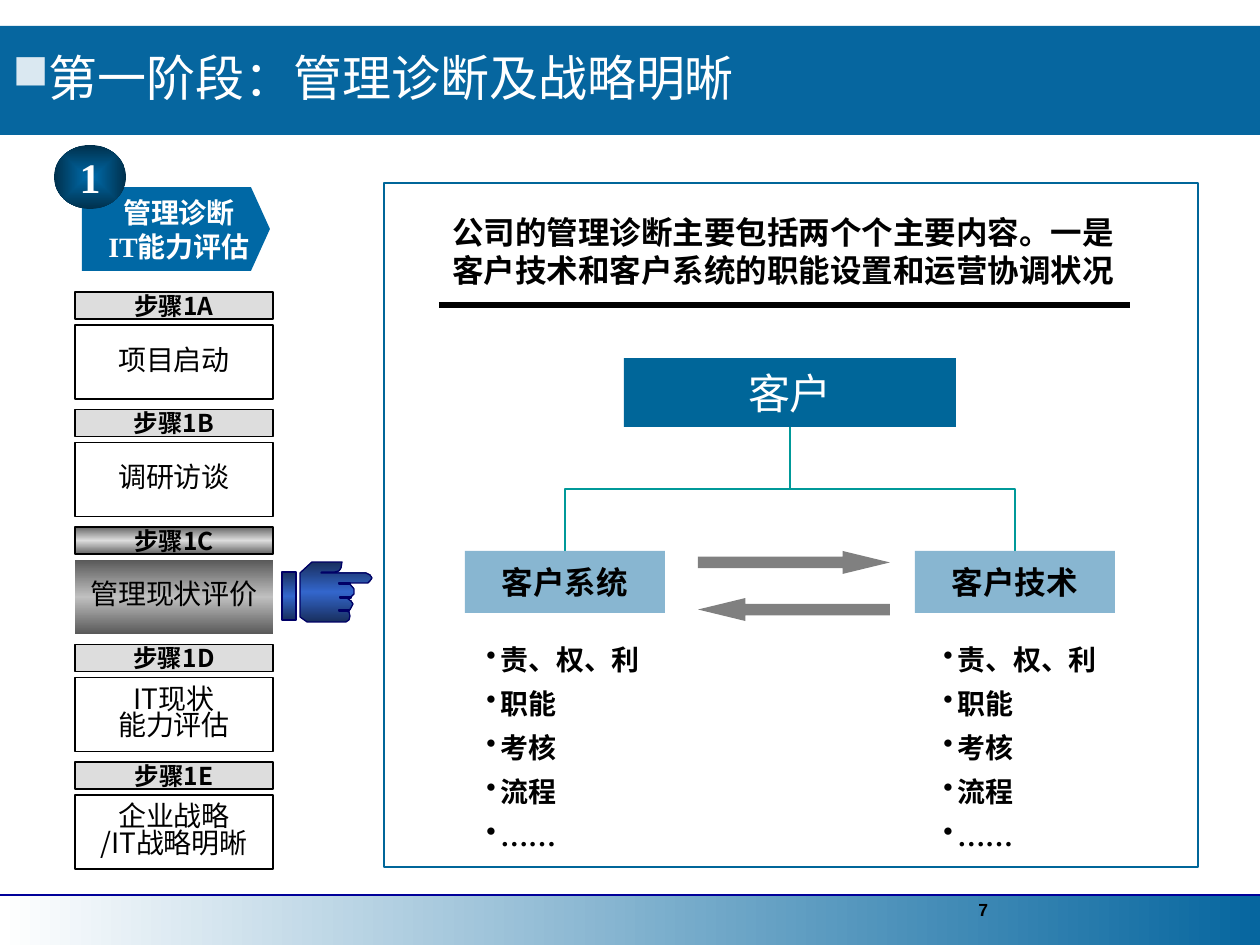
from lxml import etree
from pptx import Presentation
from pptx import oxml, util as u
from pptx.dml.color import RGBColor
from pptx.enum import shapes, text
from pptx.oxml.ns import qn

PX = 914400 / 126
SANS, SERIF, LATIN = "Noto Sans CJK SC", "Times New Roman", "Arial"
COLORS = {
    "white": "FFFFFF", "black": "000000", "banner": "06669F", "marker": "DAE8F1",
    "rule": "000099", "frame": "006699", "branch": "009999", "unit": "88B6D1",
    "arrow": "808080", "stage": "0068A5", "stage_dark": "00304C", "step": "DDDDDD",
    "step_dark": "666666", "active": "C0C0C0", "active_dark": "595959",
    "hand": "3366CC", "hand_dark": "182F5E", "hand_line": "000066",
}
A = "http://schemas.openxmlformats.org/drawingml/2006/main"
LINEAR = '<a:lin ang="{}" scaled="0"/>'
DOWN = LINEAR.format(5400000)
INWARD = '<a:path path="rect"><a:fillToRect l="50000" t="50000" r="50000" b="50000"/></a:path>'
HAND = [(83, 21), (67, 21), (72, 27), (72, 32), (69, 35), (66, 37), (69, 39), (71, 42),
        (69, 46), (67, 49), (64, 49), (67, 50), (68, 54), (67, 58), (64, 60), (25, 60),
        (18, 55), (18, 11), (30, 0), (60, 0), (59, 6), (57, 9), (53, 10), (40, 10),
        (39, 11), (84, 11), (88, 13), (90, 16), (88, 19), (86, 21)]


def px(*lengths):
    return [u.Emu(round(length * PX)) for length in lengths]


def rgb(name):
    return RGBColor.from_string(COLORS[name])


def paint(shape, fill=None, line=None, shade=DOWN):
    shape.shadow.inherit = False
    if fill is None:
        shape.fill.background()
    else:
        shape.fill.solid()
        if isinstance(fill, str):
            shape.fill.fore_color.rgb = rgb(fill)
        else:
            stops = "".join(
                f'<a:gs pos="{100000 * i // (len(fill) - 1)}"><a:srgbClr val="{COLORS[name]}"/></a:gs>'
                for i, name in enumerate(fill))
            gradient = oxml.parse_xml(
                f'<a:gradFill xmlns:a="{A}" rotWithShape="1"><a:gsLst>{stops}</a:gsLst>{shade}</a:gradFill>')
            props = shape._element.spPr
            props.replace(props.find(qn("a:solidFill")), gradient)
    if line is None:
        shape.line.fill.background()
    else:
        shape.line.color.rgb = rgb(line)
        shape.line.width = u.Pt(0.75)
    return shape


def block(slide, box, fill=None, line=None, kind=shapes.MSO_SHAPE.RECTANGLE, shade=DOWN):
    return paint(slide.shapes.add_shape(kind, *px(*box)), fill, line, shade)


def outline(slide, origin, points, fill, line=None):
    builder = slide.shapes.build_freeform(*points[0], scale=PX)
    builder.add_line_segments(points[1:], close=True)
    return paint(builder.convert_to_shape(*px(*origin)), fill, line)


def connect(slide, kind, ends, color, width):
    line = slide.shapes.add_connector(kind, *px(*ends))
    line.line.color.rgb = rgb(color)
    line.line.width = u.Pt(width)
    etree.SubElement(line._element.spPr, qn("a:effectLst"))
    return line


def write(shape, lines, size, color="black", font=SANS, bold=False, center=True,
          middle=True, wrap=False, spacing=None, before=0, bullet=None):
    frame = shape.text_frame
    frame.word_wrap = wrap
    frame.vertical_anchor = text.MSO_ANCHOR.MIDDLE if middle else text.MSO_ANCHOR.TOP
    for i, words in enumerate(lines):
        line = frame.paragraphs[0] if i == 0 else frame.add_paragraph()
        line.alignment = text.PP_ALIGN.CENTER if center else text.PP_ALIGN.LEFT
        if bullet:
            char, tint, indent = bullet
            props = line._p.get_or_add_pPr()
            hang = px(indent)[0]
            props.set("marL", str(hang))
            props.set("indent", str(-hang))
            tone = etree.SubElement(props, qn("a:buClr"))
            etree.SubElement(tone, qn("a:srgbClr")).set("val", COLORS[tint])
            etree.SubElement(props, qn("a:buChar")).set("char", char)
        if spacing:
            line.line_spacing = spacing
        if i and before:
            line.space_before = u.Pt(before)
        run = line.add_run()
        run.text = words
        run.font.size = u.Pt(size)
        run.font.bold = bold
        run.font.color.rgb = rgb(color)
        run.font.name = SERIF if words == "……" else font
        etree.SubElement(run._r.get_or_add_rPr(), qn("a:ea")).set("typeface", SANS)


def label(slide, box, lines, size, **style):
    write(slide.shapes.add_textbox(*px(*box)), lines, size, **style)


def footer(slide, x, y, w, h):
    block(slide, (x, y, w, h), ["white", "banner"], shade=LINEAR.format(0))
    connect(slide, shapes.MSO_CONNECTOR.STRAIGHT, (x, y - 1, x + w, y - 1), "rule", 1)
    label(slide, (x + 966, y - 3, 294, 45), ["7"], 10, font=LATIN, bold=True,
          center=False, middle=False, wrap=True)


def title(slide, x, y, w, h):
    block(slide, (x, y, w, h), "banner")
    label(slide, (x, y, w, h), ["第一阶段：管理诊断及战略明晰"], 28, color="white", font=LATIN,
          center=False, wrap=True, spacing=0.9, bullet=("■", "marker", 36))


def unit(slide, x, y, w, h, name, list_x):
    write(block(slide, (x, y, w, h), "unit"), [name], 18, bold=True)
    label(slide, (list_x, y + 85, 217, 223), ["责、权、利", "职能", "考核", "流程", "……"], 16,
          bold=True, center=False, middle=False, wrap=True, before=6,
          bullet=("•", "black", 14))


def diagnosis(slide, x, y, w, h):
    block(slide, (x, y, w, h), line="frame")
    label(slide, (x + 56, y + 24, 708, 88),
          ["公司的管理诊断主要包括两个个主要内容。一是客户技术和客户系统的职能设置和运营协调状况"],
          18, font=LATIN, bold=True, center=False, middle=False, wrap=True)
    connect(slide, shapes.MSO_CONNECTOR.STRAIGHT, (x + 55, y + 122, x + 746, y + 122), "black", 3)

    root_x, root_bottom, unit_y = x + 406, y + 244, y + 368
    write(block(slide, (root_x - 166, y + 175, 332, 69), "frame"), ["客户"], 24, color="white")
    drop, reach = unit_y - root_bottom, 225
    middle_y = (root_bottom + unit_y) / 2
    for side, angle in ((-1, 90), (1, 270)):
        middle_x = root_x + side * reach / 2
        branch = connect(slide, shapes.MSO_CONNECTOR.ELBOW,
                         (middle_x + side * drop / 2, middle_y - reach / 2,
                          middle_x - side * drop / 2, middle_y + reach / 2), "branch", 0.75)
        branch._element.spPr.find(qn("a:xfrm")).set("rot", str(angle * 60000))
    unit(slide, x + 81, unit_y, 200, 62, "客户系统", x + 90)
    unit(slide, x + 531, unit_y, 200, 62, "客户技术", x + 547)
    for top, angle in ((unit_y, 0), (unit_y + 47, 180)):
        arrow = block(slide, (x + 314, top, 192, 23), "arrow", kind=shapes.MSO_SHAPE.RIGHT_ARROW)
        arrow.adjustments[1] = 2.06
        arrow.rotation = angle


def stage(slide, x, y, w, h):
    outline(slide, (x + 28, y + 42),
            [(0, 0), (w - 47, 0), (w - 28, 42), (w - 47, 84), (0, 84)], "stage")
    number = block(slide, (x, y, 72, 64), ["stage", "stage_dark"],
                   kind=shapes.MSO_SHAPE.OVAL, shade=INWARD)
    write(number, ["1"], 24, color="white", font=SERIF, bold=True)
    label(slide, (x + 15, y + 48, 220, 72), ["管理诊断", "IT能力评估"], 16,
          color="white", font=SERIF, bold=True)


def steps(slide, x, y, w, h):
    tasks = [("A", ["项目启动"]), ("B", ["调研访谈"]), ("C", ["管理现状评价"]),
             ("D", ["IT现状", "能力评估"]), ("E", ["企业战略", "/IT战略明晰"])]
    head_h, body_offset, body_h = 27, 33, 74
    pitch = (h - body_offset - body_h) / (len(tasks) - 1)
    for i, (letter, task) in enumerate(tasks):
        top = y + i * pitch
        active = letter == "C"
        head_fill = ["step_dark", "step", "step_dark"] if active else "step"
        body_fill = ["active_dark", "active", "active_dark"] if active else None
        head = block(slide, (x, top, w, head_h), head_fill, "black")
        write(head, [f"步骤1{letter}"], 14, bold=True)
        body = block(slide, (x, top + body_offset, w, body_h), body_fill,
                     None if active else "black")
        write(body, task, 16, wrap=True, spacing=0.8)


def pointing_hand(slide, x, y):
    fill = ["hand_dark", "hand", "hand_dark"]
    block(slide, (x, y + 10, 14, 48), fill, "hand_line")
    outline(slide, (x, y), HAND, fill, "hand_line")
    for left, top, length in ((58, 35, 11), (57, 48, 10), (57, 21, 11)):
        crease = [(left, top), (left + length, top), (left + length, top + 1), (left, top + 1)]
        outline(slide, (x, y), crease, fill, "hand_line")


def main():
    deck = Presentation()
    deck.slide_width, deck.slide_height = px(1260, 945)
    slide = deck.slides.add_slide(deck.slide_layouts[6])
    footer(slide, 0, 896, 1260, 49)
    title(slide, 0, 26, 1260, 109)
    diagnosis(slide, 384, 183, 814, 684)
    stage(slide, 54, 145, 216, 126)
    steps(slide, 75, 292, 198, 577)
    pointing_hand(slide, 282, 562)
    deck.save("out.pptx")


if __name__ == "__main__":
    main()
